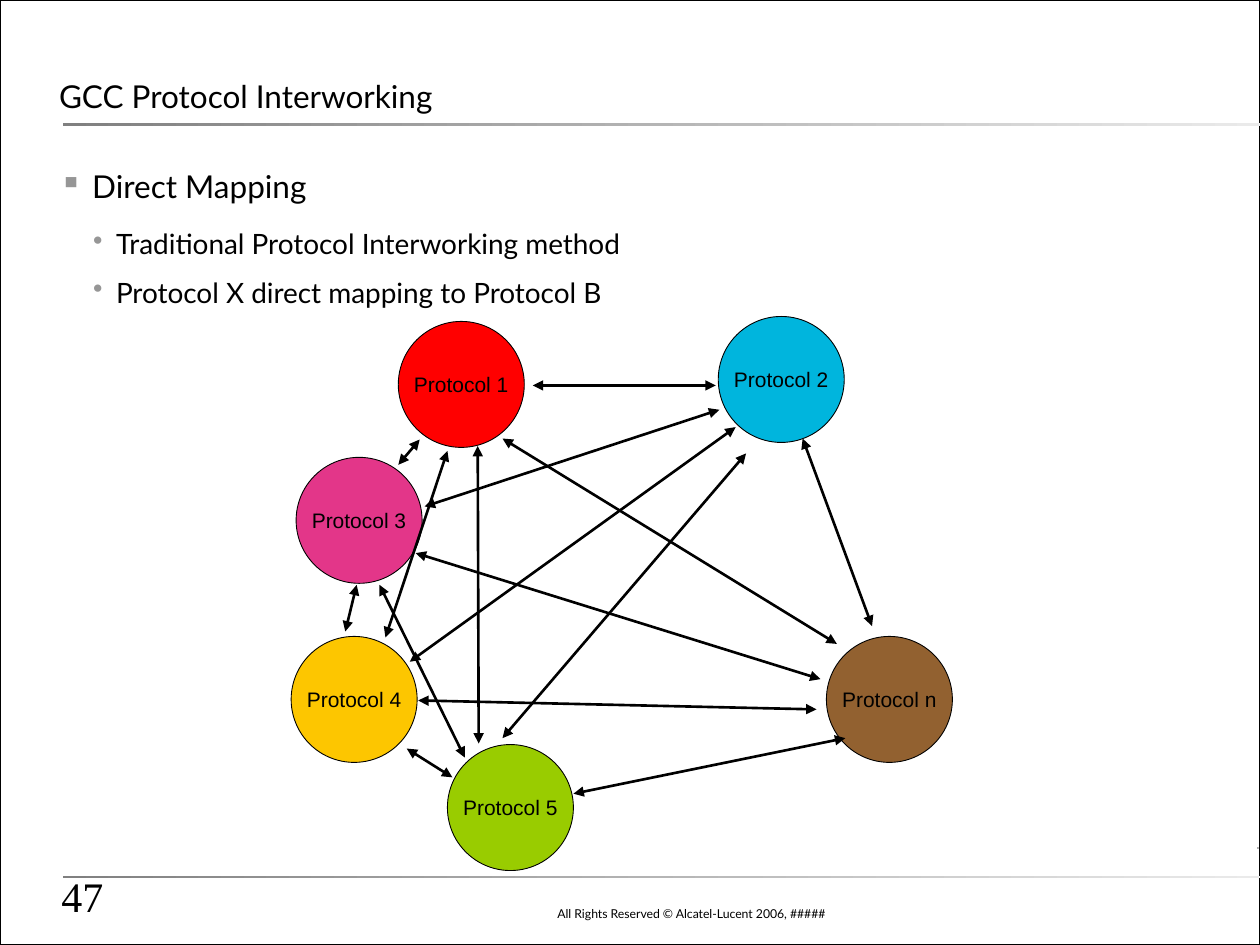
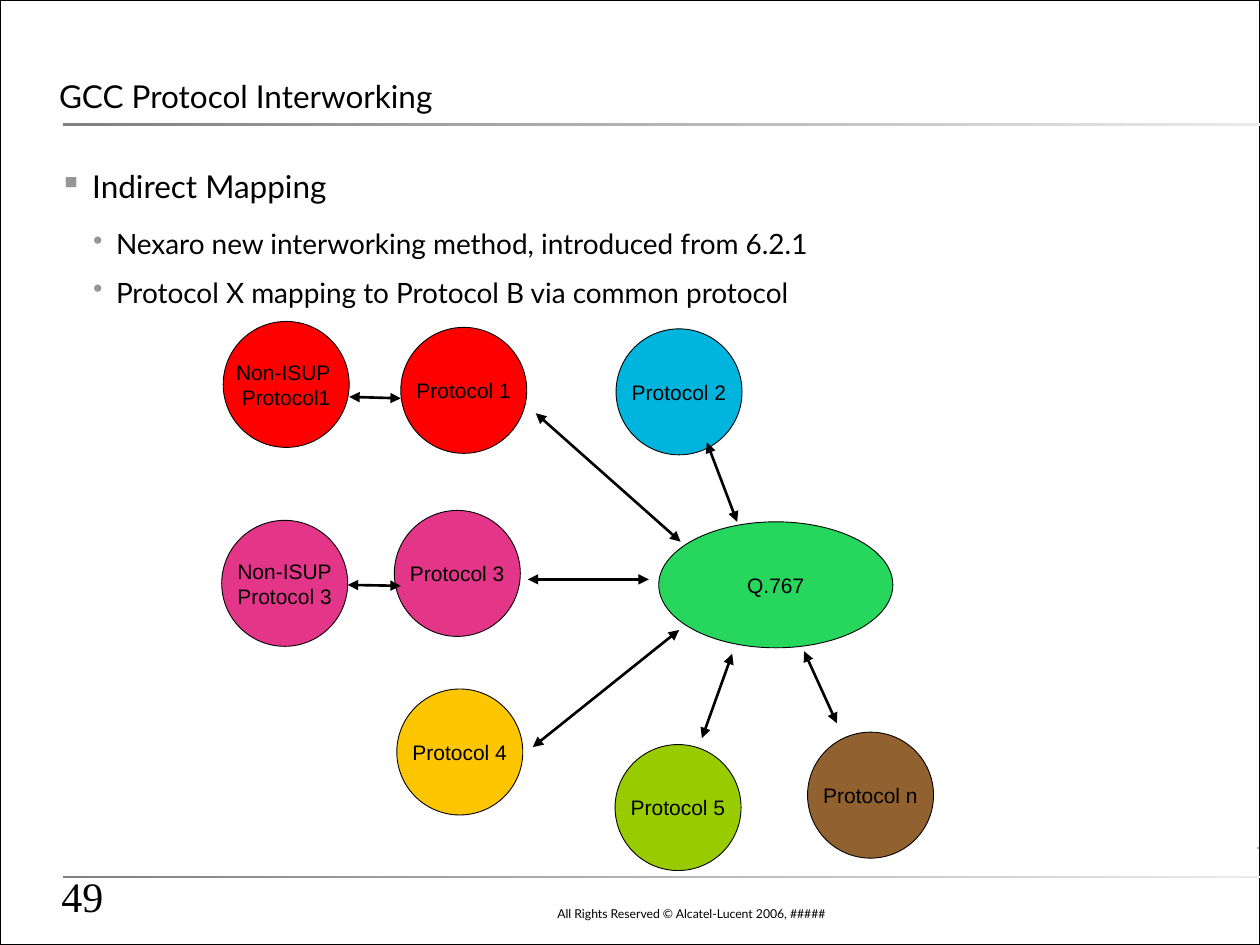
from lxml import etree
from pptx import Presentation
from pptx.dml.color import RGBColor
from pptx.enum.shapes import MSO_CONNECTOR, MSO_SHAPE
from pptx.enum.text import MSO_ANCHOR, MSO_AUTO_SIZE, PP_ALIGN
from pptx.oxml.ns import qn
from pptx.util import Cm, Pt

RECTANGLE, OVAL = MSO_SHAPE.RECTANGLE, MSO_SHAPE.OVAL
STRAIGHT = MSO_CONNECTOR.STRAIGHT
TOP, MIDDLE, BOTTOM = MSO_ANCHOR.TOP, MSO_ANCHOR.MIDDLE, MSO_ANCHOR.BOTTOM
LEFT, CENTER, RIGHT = PP_ALIGN.LEFT, PP_ALIGN.CENTER, PP_ALIGN.RIGHT
NO_AUTOFIT = MSO_AUTO_SIZE.NONE

# Shared style
BLACK, BULLET_GREY = "000000", "969696"
RED, BLUE, PINK = "FF0000", "00B5DD", "E33689"
YELLOW, LIME, BROWN, GREEN = "FDC600", "99CC00", "926130", "27D75D"
TITLE = "GCC Protocol Interworking"
FOOTER = "All Rights Reserved © Alcatel-Lucent 2006, #####"
NODE_SIZE = 2.54

# Gradient bars: left, top, width, height, light end
BARS = [
    (25.35, 17.07, 0.03, 0.05, "D5D5D5"),
    (1.27, 2.49, 24.13, 0.05, "EAEAEA"),
    (1.27, 17.65, 24.13, 0.05, "EAEAEA"),
]

# Bullet levels: symbol, left margin, indent, line height, space after, size
LEVELS = [
    ("▪", 1.12, -0.66, 23.9, 12, 18),
    ("•", 1.6, -0.46, 19.9, 8, 16),
]

# Nodes: text, colour, left, top, width; arrows: from x, y to x, y
SLIDES = [
    {
        "number": "47",
        "points": [
            (0, "Direct Mapping"),
            (1, "Traditional Protocol Interworking method"),
            (1, "Protocol X direct mapping to Protocol B"),
        ],
        "nodes": [
            ("Protocol 1", RED, 8.03, 6.48, NODE_SIZE),
            ("Protocol 2", BLUE, 14.48, 6.38, NODE_SIZE),
            ("Protocol 3", PINK, 5.97, 9.22, NODE_SIZE),
            ("Protocol 4", YELLOW, 5.87, 12.83, NODE_SIZE),
            ("Protocol 5", LIME, 9.02, 15.01, NODE_SIZE),
            ("Protocol n", BROWN, 16.66, 12.83, NODE_SIZE),
        ],
        "arrows": [
            (10.74, 7.77, 14.43, 7.77),
            (8.03, 9.37, 8.46, 8.86),
            (8.56, 10.21, 14.5, 8.26),
            (6.96, 12.73, 7.19, 11.79),
            (7.77, 12.85, 9.02, 9.09),
            (8.26, 13.34, 14.83, 8.61),
            (9.12, 15.67, 8.2, 15.09),
            (9.37, 15.27, 7.65, 11.79),
            (9.65, 14.99, 9.63, 8.99),
            (10.13, 14.88, 15.04, 9.14),
            (8.43, 14.12, 16.46, 14.3),
            (8.38, 11.15, 16.54, 13.69),
            (10.13, 8.84, 16.87, 12.98),
            (16.18, 8.84, 17.58, 12.62),
            (11.56, 16, 17.04, 14.88),
        ],
    },
    {
        "number": "49",
        "points": [
            (0, "Indirect Mapping"),
            (1, "Nexaro new interworking method, introduced from 6.2.1"),
            (1, "Protocol X mapping to Protocol B via common protocol"),
        ],
        "nodes": [
            ("Protocol 1", RED, 8.08, 6.6, NODE_SIZE),
            ("Protocol 2", BLUE, 12.42, 6.63, NODE_SIZE),
            ("Q.767", GREEN, 13.28, 10.52, 4.72),
            ("Protocol 3", PINK, 7.95, 10.29, NODE_SIZE),
            ("Protocol 4", YELLOW, 8, 13.89, NODE_SIZE),
            ("Protocol 5", LIME, 12.4, 15.01, NODE_SIZE),
            ("Protocol n", BROWN, 16.28, 14.76, NODE_SIZE),
            ("Non-ISUP \nProtocol1", RED, 4.5, 6.48, NODE_SIZE),
            ("Non-ISUP\nProtocol 3", PINK, 4.47, 10.49, NODE_SIZE),
        ],
        "arrows": [
            (10.8, 8.33, 13.72, 10.92),
            (14.86, 10.52, 14.25, 8.92),
            (10.64, 11.68, 13.08, 11.68),
            (10.74, 15.06, 13.69, 12.7),
            (14.15, 14.88, 14.76, 13.18),
            (16.87, 14.58, 16.21, 13.13),
            (7.04, 8, 8.08, 8.03),
            (7.01, 11.79, 8.08, 11.81),
        ],
    },
]


def color(hex_string):
    return RGBColor.from_string(hex_string)


def write_text(shape, text, font, size, anchor, align, wrap=True, inset=True):
    frame = shape.text_frame
    frame.text = text
    frame.word_wrap = wrap
    frame.auto_size = NO_AUTOFIT
    frame.vertical_anchor = anchor
    frame.margin_left = frame.margin_right = Cm(0.25 if inset else 0)
    frame.margin_top = frame.margin_bottom = Cm(0.13 if inset else 0)
    for paragraph in frame.paragraphs:
        paragraph.alignment = align
        for run in paragraph.runs:
            run.font.name = font
            run.font.size = Pt(size)
            run.font.color.rgb = color(BLACK)
    return frame


presentation = Presentation()
presentation.slide_width, presentation.slide_height = Cm(25.4), Cm(19.05)
title_only = presentation.slide_layouts[5]

for content in SLIDES:
    slide = presentation.slides.add_slide(title_only)
    shapes = slide.shapes

    # Frame around the page
    frame_box = shapes.add_shape(RECTANGLE, 0, 0, Cm(25.4), Cm(19.05))
    frame_box.shadow.inherit = False
    frame_box.fill.background()
    frame_box.line.color.rgb = color(BLACK)
    frame_box.line.width = Pt(1)

    # Grey bars fading to the right
    for left, top, width, height, light in BARS:
        bar = shapes.add_shape(RECTANGLE, Cm(left), Cm(top), Cm(width), Cm(height))
        bar.shadow.inherit = False
        bar.line.fill.background()
        bar.fill.gradient()
        bar.fill.gradient_angle = 0
        for stop, shade in zip(bar.fill.gradient_stops, ("808080", light)):
            stop.color.rgb = color(shade)

    # Title
    title = shapes.title
    title.left, title.top, title.width, title.height = Cm(1.19), Cm(0.2), Cm(22.94), Cm(2.11)
    frame = write_text(title, TITLE, "Lato", 18, BOTTOM, LEFT, inset=False)
    frame.paragraphs[0].line_spacing = Pt(25.9)

    # Bullet list
    body = shapes.add_textbox(Cm(0.74), Cm(3.28), Cm(22.86), Cm(12.57))
    points = content["points"]
    lines = "\n".join(text for _, text in points)
    frame = write_text(body, lines, "Lato", 16, TOP, LEFT, inset=False)
    for paragraph, (level, _) in zip(frame.paragraphs, points):
        symbol, margin, indent, line_height, space_after, size = LEVELS[level]
        properties = paragraph._p.get_or_add_pPr()
        properties.set("marL", str(Cm(margin)))
        properties.set("indent", str(Cm(indent)))
        bullet_color = etree.SubElement(properties, qn("a:buClr"))
        etree.SubElement(bullet_color, qn("a:srgbClr"), val=BULLET_GREY)
        etree.SubElement(properties, qn("a:buChar"), char=symbol)
        paragraph.level = level
        paragraph.line_spacing = Pt(line_height)
        paragraph.space_after = Pt(space_after)
        paragraph.runs[0].font.size = Pt(size)

    # Protocol nodes
    for text, fill, left, top, width in content["nodes"]:
        node = shapes.add_shape(OVAL, Cm(left), Cm(top), Cm(width), Cm(NODE_SIZE))
        node.shadow.inherit = False
        node.fill.solid()
        node.fill.fore_color.rgb = color(fill)
        node.line.color.rgb = color(BLACK)
        node.line.width = Pt(0.5)
        write_text(node, text, "Arial", 12, MIDDLE, CENTER, wrap=False)

    # Two-way arrows
    for ends in content["arrows"]:
        arrow = shapes.add_connector(STRAIGHT, *map(Cm, ends))
        arrow.line.color.rgb = color(BLACK)
        arrow.line.width = Pt(1.5)
        line = arrow.line._get_or_add_ln()
        for end in ("a:headEnd", "a:tailEnd"):
            etree.SubElement(line, qn(end), type="triangle")
        etree.SubElement(arrow._element.spPr, qn("a:effectLst"))

    # Page number and copyright line
    number = shapes.add_textbox(Cm(0.99), Cm(16.41), Cm(8.86), Cm(2.29))
    write_text(number, content["number"], "Times New Roman", 24, BOTTOM, LEFT)
    footer = shapes.add_textbox(Cm(8.89), Cm(18.06), Cm(8), Cm(0.64))
    write_text(footer, FOOTER, "Lato", 7, BOTTOM, RIGHT)

presentation.save("out.pptx")
